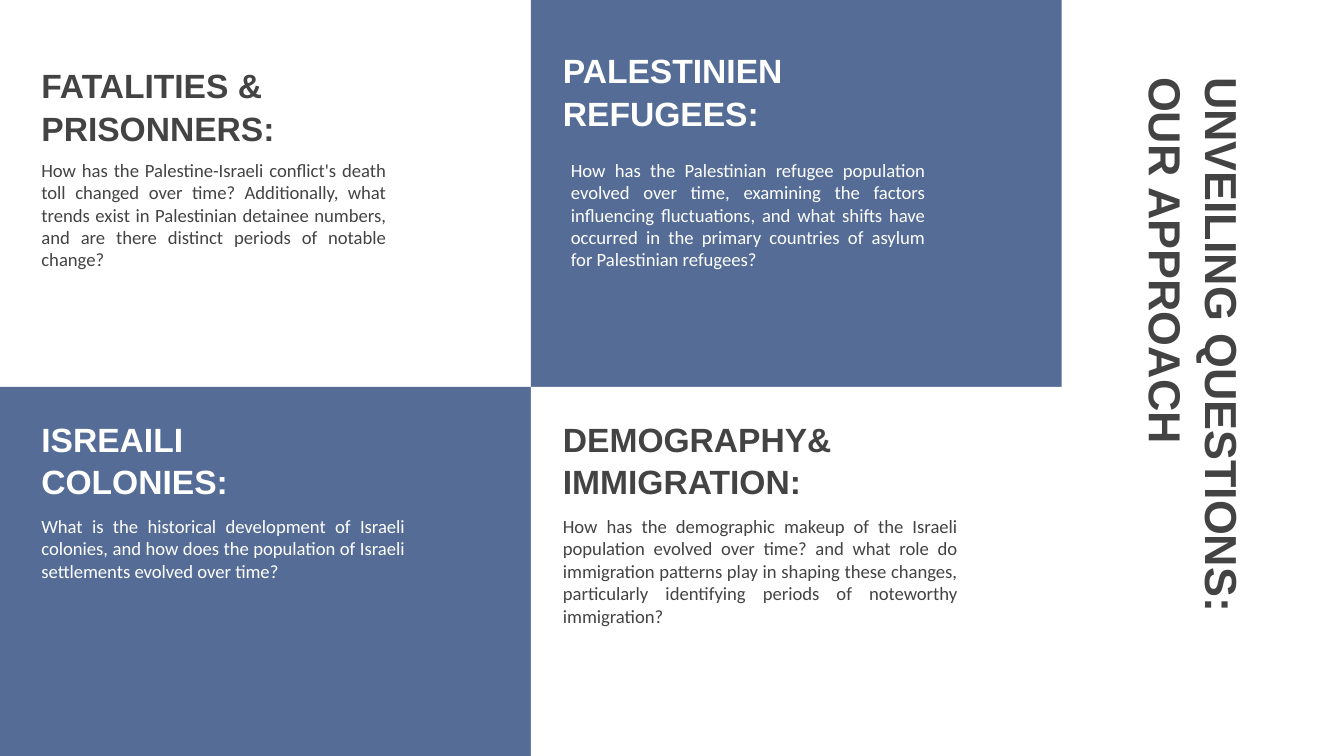
from pptx import Presentation
from pptx import util as u
from pptx.dml.color import RGBColor
from pptx.enum import shapes, text

BLUE = RGBColor(0x55, 0x6D, 0x96)
WHITE = RGBColor(0xFF, 0xFF, 0xFF)
CHARCOAL = RGBColor(0x43, 0x43, 0x43)

# Square grid: 100 columns by 56.25 rows, each cell a tenth of an inch.
CELL = u.Inches(0.1)
COLUMNS, ROWS = 100, 56.25
PANEL_WIDTH, SPLIT = 39.5, 28.8
LEFT, RIGHT = 2.1, 40.9


class Deck:
    """Holds the style and the current slide; all lengths are in grid cells."""

    heading_font, body_font = "Arial", "Calibri"
    title_size, heading_size, body_size = 24, 18, 10
    inset = 1
    heading_height = 7.1
    heading_spacing = 1.05

    def __init__(self):
        self.presentation = Presentation()
        self.presentation.slide_width = self.cells(COLUMNS)
        self.presentation.slide_height = self.cells(ROWS)
        self.slide = self.presentation.slides.add_slide(
            self.presentation.slide_layouts[6])

    @staticmethod
    def cells(count):
        return u.Emu(round(count * CELL))

    def panel(self, column, row, height, color):
        shape = self.slide.shapes.add_shape(
            shapes.MSO_SHAPE.RECTANGLE,
            *map(self.cells, (column, row, PANEL_WIDTH, height)))
        shape.shadow.inherit = False
        shape.fill.solid()
        shape.fill.fore_color.rgb = color
        shape.line.fill.background()

    def text_box(self, words, place, font, size, color, anchor, bold=False):
        """Add wrapped text at place (column, row, width, height)."""
        shape = self.slide.shapes.add_textbox(*map(self.cells, place))
        frame = shape.text_frame
        frame.word_wrap = True
        frame.vertical_anchor = anchor
        frame.margin_left = frame.margin_right = self.cells(self.inset)
        frame.margin_top = frame.margin_bottom = self.cells(self.inset)
        frame.text = words
        paragraph = frame.paragraphs[0]
        for run in paragraph.runs:
            run.font.name = font
            run.font.size = u.Pt(size)
            run.font.bold = bold
            run.font.color.rgb = color
        return shape, paragraph

    def vertical_title(self, words, place):
        shape, paragraph = self.text_box(
            words, place, self.heading_font, self.title_size, CHARCOAL,
            text.MSO_ANCHOR.MIDDLE, bold=True)
        shape.rotation = 90
        paragraph.line_spacing = self.heading_spacing

    def heading(self, words, column, row, width, color):
        _, paragraph = self.text_box(
            words, (column, row, width, self.heading_height),
            self.heading_font, self.heading_size, color,
            text.MSO_ANCHOR.BOTTOM, bold=True)
        paragraph.line_spacing = self.heading_spacing

    def question(self, words, place, color):
        _, paragraph = self.text_box(
            words, place, self.body_font, self.body_size, color,
            text.MSO_ANCHOR.TOP)
        paragraph.alignment = text.PP_ALIGN.JUSTIFY


# Heading, its column, row and width; question, its place; text colour.
TOPICS = [
    ("FATALITIES & PRISONNERS:", LEFT, 4.9, 31.4,
     "How has the Palestine-Israeli conflict's death toll changed over time? "
     "Additionally, what trends exist in Palestinian detainee numbers, and are "
     "there distinct periods of notable change?",
     (LEFT, 10.8, 27.6, 11.3), CHARCOAL),
    ("PALESTINIEN REFUGEES:", RIGHT, 3.8, 29.5,
     "How has the Palestinian refugee population evolved over time, examining "
     "the factors influencing fluctuations, and what shifts have occurred in "
     "the primary countries of asylum for Palestinian refugees?",
     (41.5, 10.8, 28.3, 8.2), WHITE),
    ("ISREAILI\vCOLONIES:", LEFT, 31.2, 31.4,
     "What is the historical development of Israeli colonies, and how does the "
     "population of Israeli settlements evolved over time?",
     (LEFT, 37.3, 29, 10.3), WHITE),
    ("DEMOGRAPHY& IMMIGRATION:", RIGHT, 31.2, 28.3,
     "How has the demographic makeup of the Israeli population evolved over "
     "time? and what role do immigration patterns play in shaping these "
     "changes, particularly identifying periods of noteworthy immigration?",
     (RIGHT, 37.3, 31.3, 8.2), CHARCOAL),
]


def main():
    deck = Deck()
    deck.vertical_title("UNVEILING QUESTIONS: OUR APPROACH",
                        (67.8, 23.3, 42.4, 5.3))
    deck.panel(PANEL_WIDTH, 0, SPLIT, BLUE)
    deck.panel(0, SPLIT, ROWS - SPLIT, BLUE)
    deck.panel(PANEL_WIDTH, SPLIT, ROWS - SPLIT, WHITE)
    for heading, column, row, width, question, place, color in TOPICS:
        deck.heading(heading, column, row, width, color)
        deck.question(question, place, color)
    deck.presentation.save("out.pptx")


if __name__ == "__main__":
    main()
